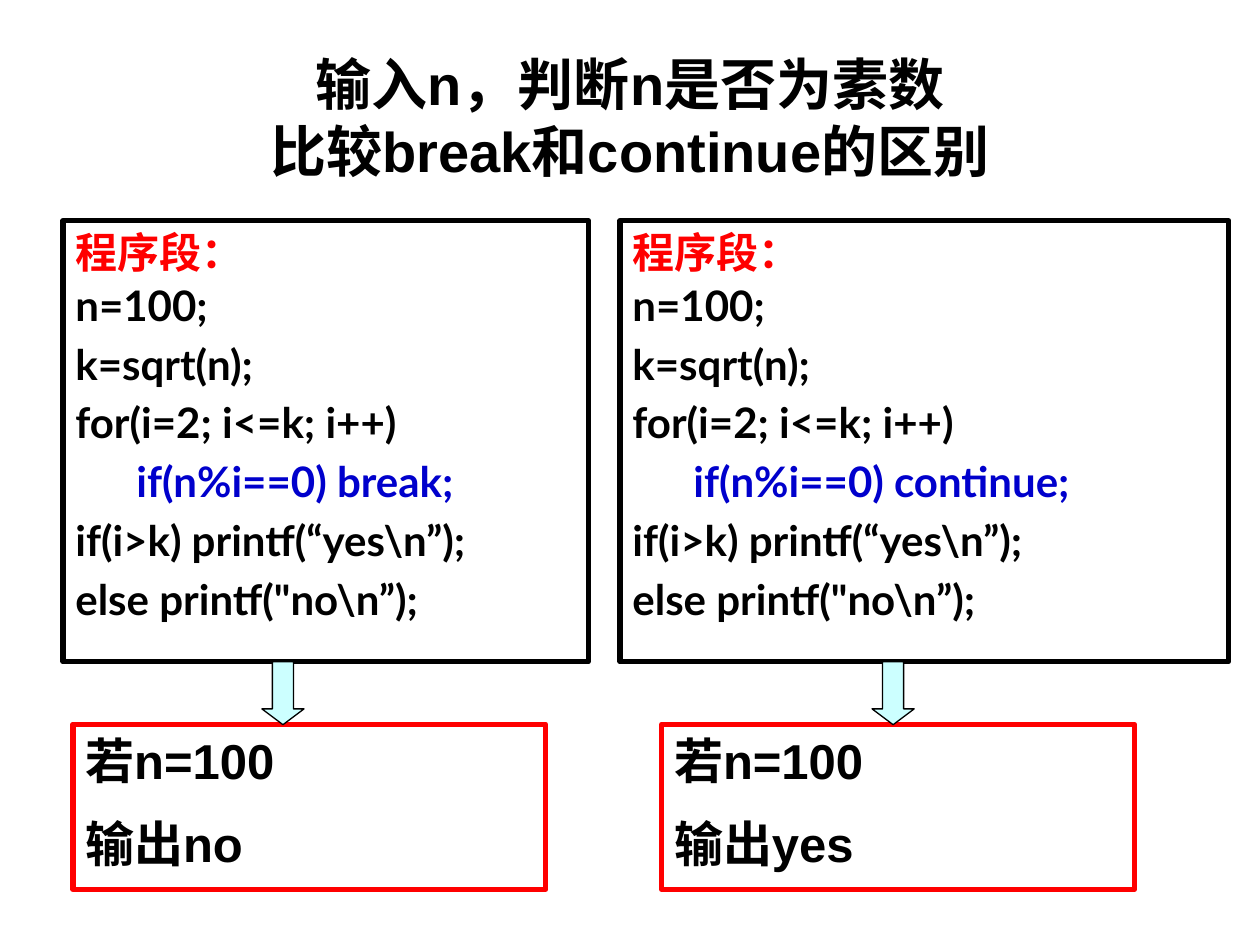
"""Build a slide that contrasts break and continue in a prime test."""
import dataclasses

import pptx
import pptx.dml.color
import pptx.enum.shapes
import pptx.enum.text
import pptx.util

Cm = pptx.util.Cm
Pt = pptx.util.Pt
Align = pptx.enum.text.PP_ALIGN
Anchor = pptx.enum.text.MSO_ANCHOR
Kind = pptx.enum.shapes.MSO_SHAPE

BLACK, RED, BLUE, CYAN = "000000", "FF0000", "0000CC", "CCFFFF"


@dataclasses.dataclass
class Case:
    """One column: a program, an arrow and its output."""
    word: str
    out: str
    left: float
    width: float
    arrow: float
    result: float


CASES = [
    Case("break", "no", 1.27, 10.59, 5.28, 1.47),
    Case("continue", "yes", 12.5, 12.27, 17.58, 13.34),
]


def tint(code: str) -> pptx.dml.color.RGBColor:
    """Turn a hex string into a colour."""
    return pptx.dml.color.RGBColor.from_string(code)


def write(frame, text: str, *, size: float, font: str, color: str = BLACK,
          align=Align.LEFT, before: float = 0, margin: float = 0,
          indent: float = 0) -> None:
    """Add one bold paragraph to a text frame."""
    para = frame.paragraphs[0]
    if para.runs:
        para = frame.add_paragraph()
    para.alignment = align
    para.space_before = Pt(before)
    props = para._p.get_or_add_pPr()
    props.set("marL", str(Cm(margin)))
    props.set("indent", str(Cm(indent)))
    run = para.add_run()
    run.text = text
    run.font.size = Pt(size)
    run.font.name = font
    run.font.bold = True
    run.font.color.rgb = tint(color)


def draw(slide, kind, left: float, top: float, width: float, height: float,
         line: str, weight: float, fill: str = ""):
    """Add an outlined shape, with a fill if one is given."""
    shape = slide.shapes.add_shape(kind, Cm(left), Cm(top), Cm(width), Cm(height))
    shape.shadow.inherit = False
    shape.line.color.rgb = tint(line)
    shape.line.width = Pt(weight)
    if fill:
        shape.fill.solid()
        shape.fill.fore_color.rgb = tint(fill)
    else:
        shape.fill.background()
    shape.text_frame.word_wrap = True
    shape.text_frame.vertical_anchor = Anchor.TOP
    return shape


def add_code(slide, case: Case) -> None:
    """Draw the program box of a case."""
    frame = draw(slide, Kind.RECTANGLE, case.left, 4.45, case.width, 8.89,
                 BLACK, 3).text_frame
    lines = [
        ("程序段：", RED, 1.2),
        ("n=100;", BLACK, 1.2),
        ("k=sqrt(n);", BLACK, 4.8),
        ("for(i=2; i<=k; i++)", BLACK, 4.8),
        (f"if(n%i==0) {case.word};", BLUE, 4.8),
        ("if(i>k) printf(“yes\\n”);", BLACK, 4.8),
        ("else printf(\"no\\n”);", BLACK, 4.8),
    ]
    for text, color, before in lines:
        margin, indent = (1.23, 0) if color == BLUE else (0.95, -0.95)
        write(frame, text, size=24, font="Lato", color=color, before=before,
              align=Align.JUSTIFY, margin=margin, indent=indent)


def add_result(slide, case: Case) -> None:
    """Draw the output box of a case."""
    frame = draw(slide, Kind.RECTANGLE, case.result, 14.6, 9.53, 3.33,
                 RED, 3).text_frame
    write(frame, "若n=100", size=28, font="Arial")
    write(frame, f"输出{case.out}", size=28, font="Arial", before=14)


def add_arrow(slide, case: Case) -> None:
    """Draw the arrow from program to output."""
    arrow = draw(slide, Kind.DOWN_ARROW, case.arrow, 13.34, 0.85, 1.27,
                 BLACK, 0.75, CYAN)
    arrow.adjustments[0] = 0.5
    arrow.adjustments[1] = 0.375


def add_title(slide) -> None:
    """Place and fill the title."""
    title = slide.shapes.title
    title.left, title.top = Cm(1.27), Cm(0.76)
    title.width, title.height = Cm(22.86), Cm(3.18)
    title.text_frame.vertical_anchor = Anchor.MIDDLE
    for text in ("输入n，判断n是否为素数", "比较break和continue的区别"):
        write(title.text_frame, text, size=32, font="Arial", align=Align.CENTER)


def main() -> None:
    """Build and save the deck."""
    deck = pptx.Presentation()
    deck.slide_width, deck.slide_height = Cm(25.4), Cm(19.05)
    slide = deck.slides.add_slide(deck.slide_layouts[5])
    add_title(slide)
    for part in (add_code, add_result, add_arrow):
        for case in CASES:
            part(slide, case)
    deck.save("out.pptx")


main()
